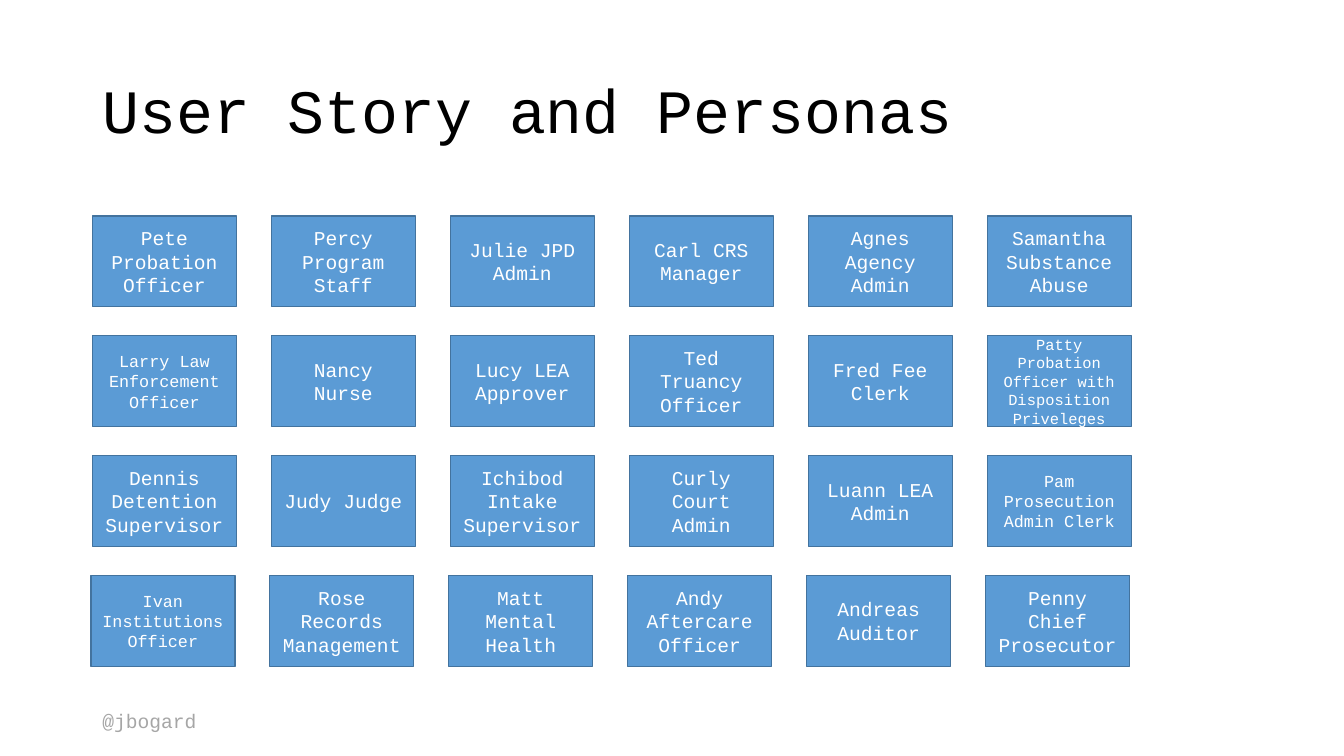
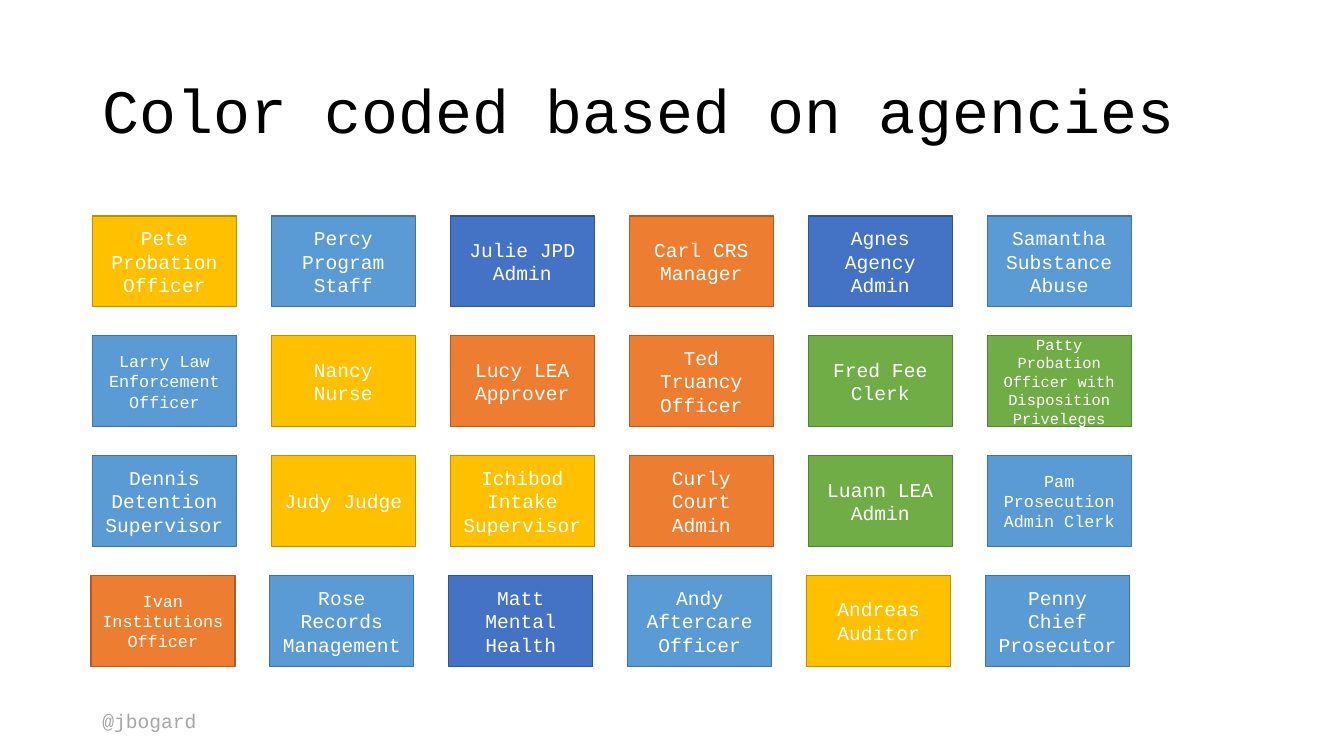
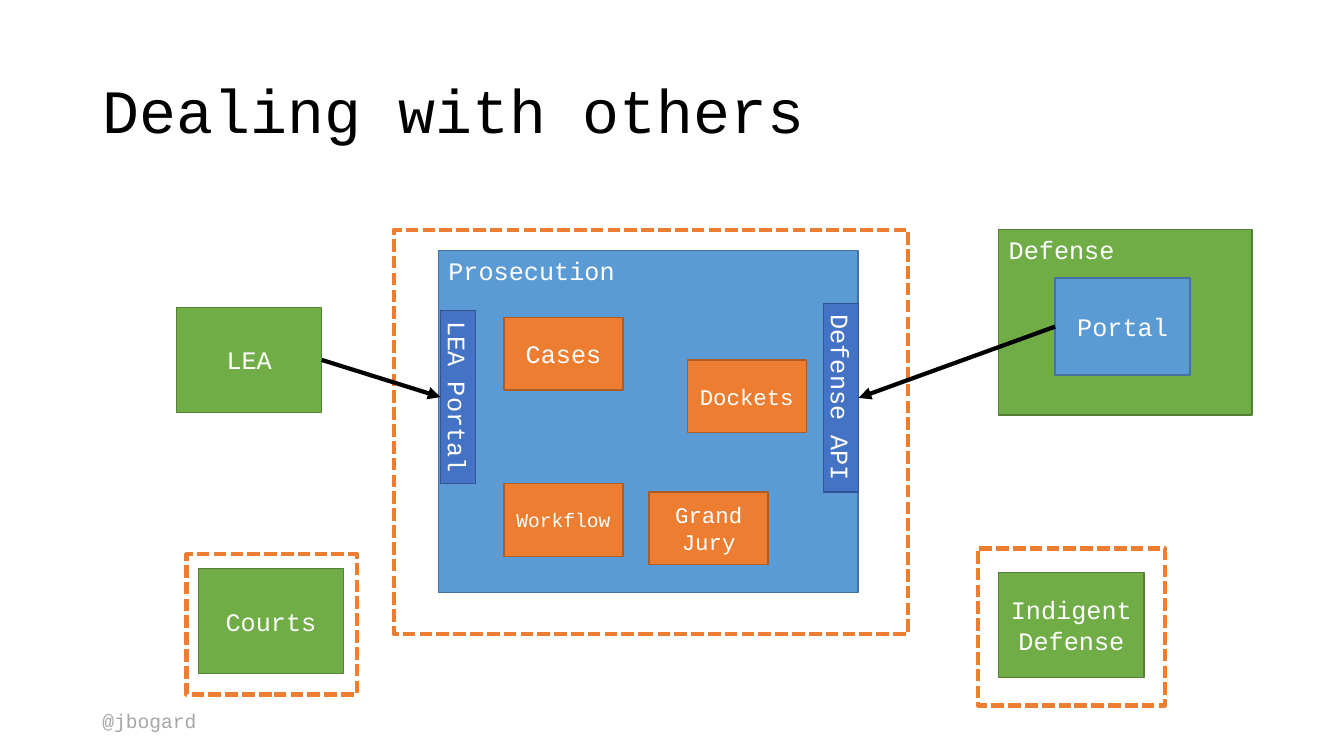
from lxml.etree import SubElement
from pptx import Presentation
from pptx.dml.color import RGBColor
from pptx.enum.dml import MSO_LINE
from pptx.enum.shapes import MSO_CONNECTOR, MSO_SHAPE
from pptx.enum.text import MSO_ANCHOR, MSO_AUTO_SIZE, PP_ALIGN
from pptx.oxml.ns import qn
from pptx.util import Cm, Pt

FONT = "Courier New"
COLORS = {
    "black": "000000",
    "white": "FFFFFF",
    "gray": "A6A6A6",
    "blue": "5B9BD5",
    "indigo": "4472C4",
    "orange": "ED7D31",
    "gold": "FFC000",
    "green": "70AD47",
}
BORDERS = {
    "blue": "43739E",
    "indigo": "325491",
    "orange": "AF5C24",
    "gold": "BD8E00",
    "green": "538035",
}


def write_text(shape, text, size=14, color="white", align=PP_ALIGN.CENTER,
               anchor=MSO_ANCHOR.MIDDLE, line_spacing=1.0, vertical=False):
    frame = shape.text_frame
    frame.text = text
    frame.word_wrap = True
    frame.auto_size = MSO_AUTO_SIZE.NONE
    frame.vertical_anchor = anchor
    if vertical:
        shape.element.txBody.find(qn("a:bodyPr")).set("vert", "vert")
    paragraph = frame.paragraphs[0]
    paragraph.alignment = align
    paragraph.line_spacing = line_spacing
    paragraph.font.name = FONT
    paragraph.font.size = Pt(size)
    paragraph.font.color.rgb = RGBColor.from_string(COLORS[color])


def add_box(slide, place, fill=None):
    shape = slide.shapes.add_shape(MSO_SHAPE.RECTANGLE, *map(Cm, place))
    shape.shadow.inherit = False
    if fill:
        shape.fill.solid()
        shape.fill.fore_color.rgb = RGBColor.from_string(COLORS[fill])
        shape.line.color.rgb = RGBColor.from_string(BORDERS[fill])
        shape.line.width = Pt(1)
    else:
        shape.fill.background()
        shape.line.color.rgb = RGBColor.from_string(COLORS["orange"])
        shape.line.width = Pt(3)
        shape.line.dash_style = MSO_LINE.SQUARE_DOT
    return shape


presentation = Presentation()
presentation.slide_width = Cm(33.87)
presentation.slide_height = Cm(19.05)

slides = []
for heading in ("User Story and Personas", "Color coded based on agencies", "Dealing with others"):
    slide = presentation.slides.add_slide(presentation.slide_layouts[5])
    title = slide.shapes.title
    title.left, title.top, title.width, title.height = map(Cm, (2.33, 1.01, 29.21, 3.68))
    write_text(title, heading, size=44, color="black", align=PP_ALIGN.LEFT, line_spacing=0.9)
    footer = slide.shapes.add_textbox(Cm(2.33), Cm(17.75), Cm(3.71), Cm(0.86))
    write_text(footer, "@jbogard", color="gray", align=PP_ALIGN.LEFT, anchor=MSO_ANCHOR.TOP)
    slides.append(slide)
story_slide, agency_slide, systems_slide = slides

persona_rows = [
    [("Pete Probation Officer", 14, "gold"), ("Percy Program Staff", 14, "blue"),
     ("Julie JPD Admin", 14, "indigo"), ("Carl CRS Manager", 14, "orange"),
     ("Agnes Agency Admin", 14, "indigo"), ("Samantha Substance Abuse", 14, "blue")],
    [("Larry Law Enforcement Officer", 12, "blue"), ("Nancy Nurse", 14, "gold"),
     ("Lucy LEA Approver", 14, "orange"), ("Ted Truancy Officer", 14, "orange"),
     ("Fred Fee Clerk", 14, "green"),
     ("Patty Probation Officer with Disposition Priveleges", 11, "green")],
    [("Dennis Detention Supervisor", 14, "blue"), ("Judy Judge", 14, "gold"),
     ("Ichibod Intake Supervisor", 14, "gold"), ("Curly Court Admin", 14, "orange"),
     ("Luann LEA Admin", 14, "green"), ("Pam Prosecution Admin Clerk", 12, "blue")],
    [("Ivan Institutions Officer", 12, "orange"), ("Rose Records Management", 14, "blue"),
     ("Matt Mental Health", 14, "indigo"), ("Andy Aftercare Officer", 14, "blue"),
     ("Andreas Auditor", 14, "gold"), ("Penny Chief Prosecutor", 14, "blue")],
]
row_lefts = (2.33, 2.33, 2.33, 2.29)
for slide in (story_slide, agency_slide):
    for row, personas in enumerate(persona_rows):
        for column, (persona, size, agency_color) in enumerate(personas):
            place = (row_lefts[row] + 4.51 * column, 5.44 + 3.02 * row, 3.63, 2.29)
            fill = agency_color if slide is agency_slide else "blue"
            write_text(add_box(slide, place, fill), persona, size=size)

corner = {"align": PP_ALIGN.LEFT, "anchor": MSO_ANCHOR.TOP}
upright = {"vertical": True}
module_size = (3, 1.83)
agency_size = (3.66, 2.64)
systems = [
    ("Prosecution", (11.05, 6.32, 10.57, 8.61), "blue", 18, corner),
    ("Cases", (12.7, 8, *module_size), "orange", 18, {}),
    ("Workflow", (12.7, 12.19, *module_size), "orange", 14, {}),
    ("Dockets", (17.32, 9.07, *module_size), "orange", 16, {}),
    ("Grand Jury", (16.36, 12.4, *module_size), "orange", 16, {}),
    ("LEA", (4.45, 7.75, *agency_size), "green", 18, {}),
    ("Courts", (5, 14.33, *agency_size), "green", 18, {}),
    ("Defense", (25.17, 5.79, 6.38, 4.67), "green", 18, corner),
    ("Indigent Defense", (25.17, 14.43, *agency_size), "green", 18, {}),
    ("LEA Portal", (11.1, 7.82, 0.89, 4.37), "indigo", 18, upright),
    ("Portal", (26.59, 7.01, 3.4, 2.44), "blue", 18, {}),
    ("Defense API", (20.75, 7.65, 0.89, 4.75), "indigo", 18, upright),
]
boxes = {}
for name, place, fill, size, text_format in systems:
    boxes[name] = add_box(systems_slide, place, fill)
    write_text(boxes[name], name, size=size, **text_format)

for boundary in ((9.93, 5.79, 12.95, 10.19), (24.64, 13.82, 4.72, 3.96), (4.7, 13.97, 4.29, 3.53)):
    add_box(systems_slide, boundary)

for source, source_side, target, target_side in (("LEA", 3, "LEA Portal", 1),
                                                 ("Portal", 1, "Defense API", 3)):
    arrow = systems_slide.shapes.add_connector(MSO_CONNECTOR.STRAIGHT, 0, 0, 0, 0)
    arrow.begin_connect(boxes[source], source_side)
    arrow.end_connect(boxes[target], target_side)
    arrow.line.color.rgb = RGBColor.from_string(COLORS["black"])
    arrow.line.width = Pt(3)
    SubElement(arrow.line._get_or_add_ln(), qn("a:tailEnd"), type="triangle")
    SubElement(arrow.element.spPr, qn("a:effectLst"))

presentation.save("out.pptx")
